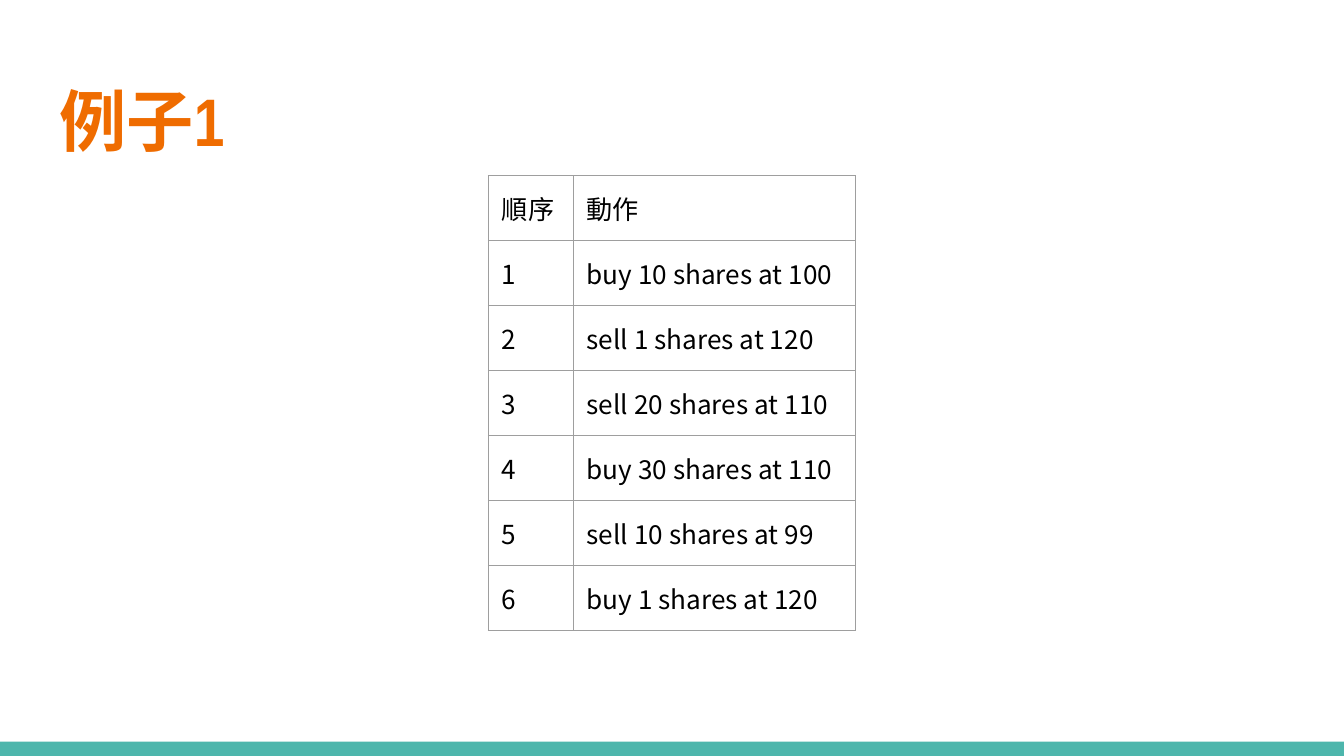
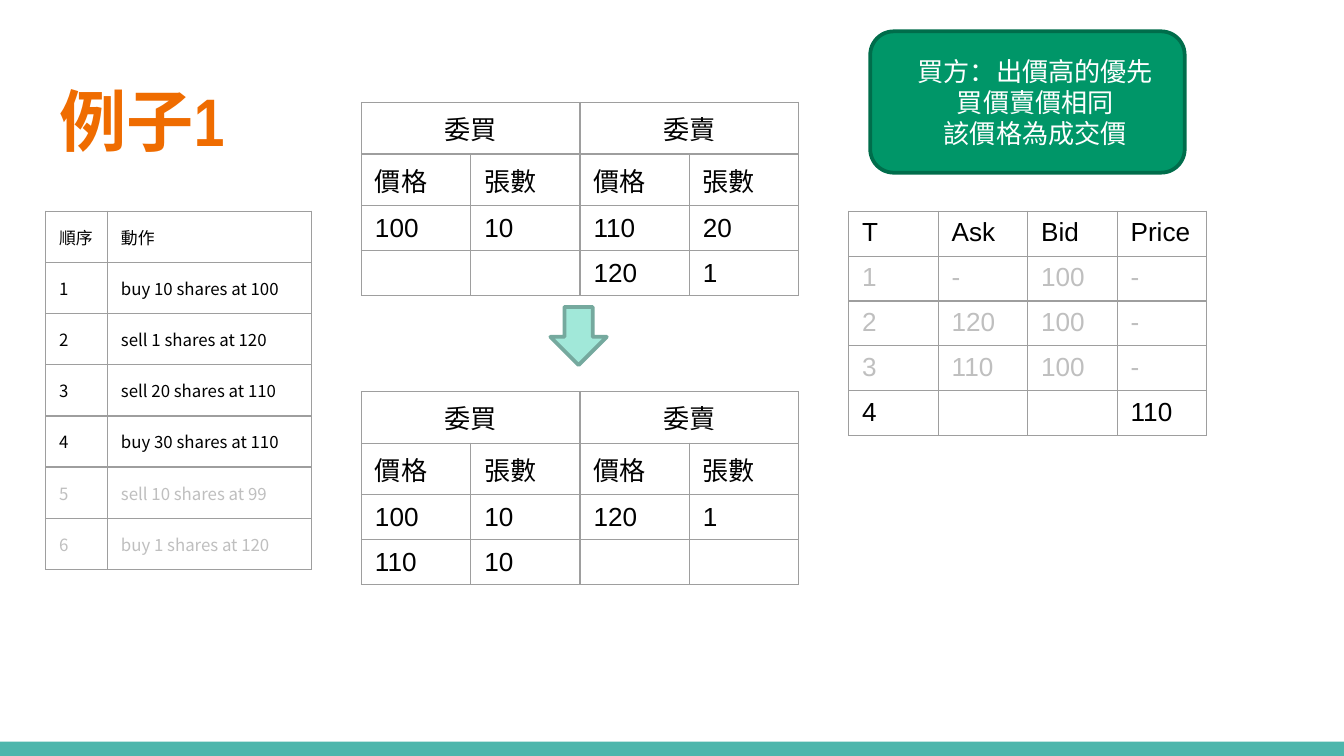
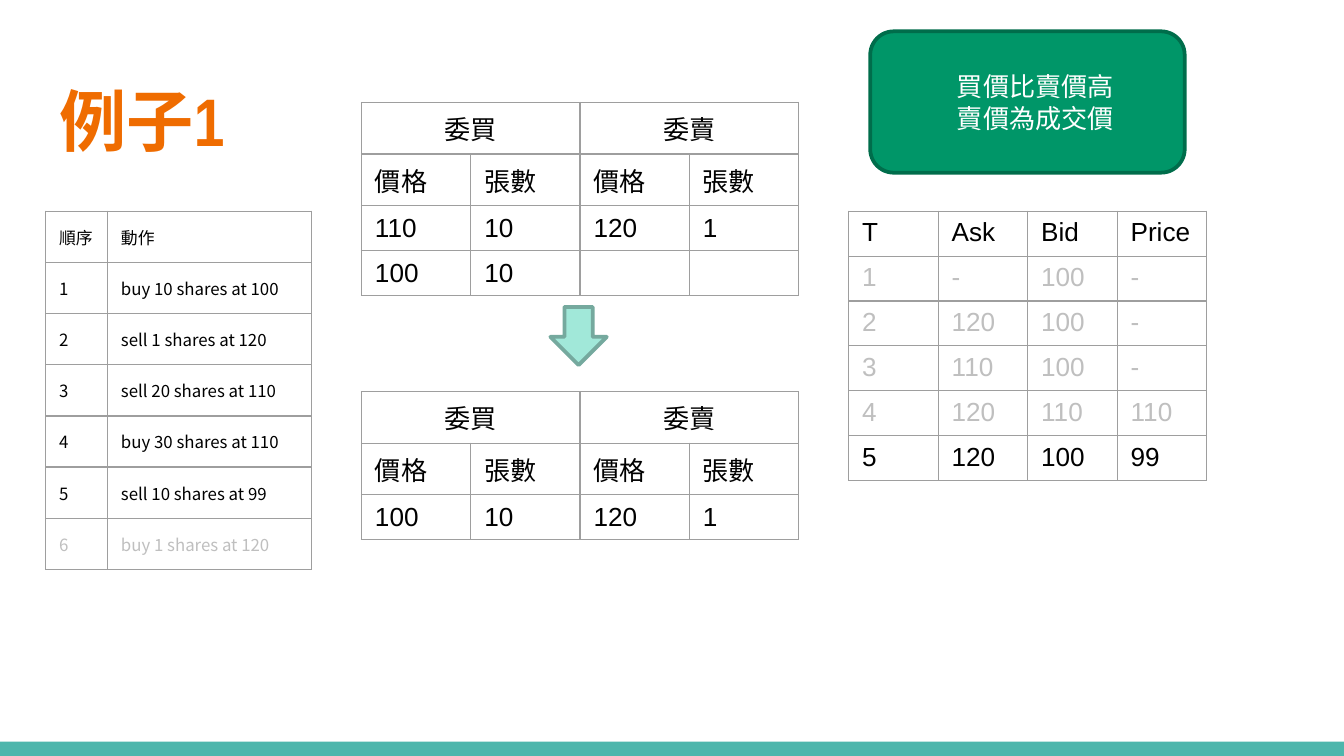
from lxml import etree
from pptx import Presentation, util as u
from pptx.dml.color import RGBColor
from pptx.enum import shapes, text
from pptx.oxml.ns import qn

WIDTH, HEIGHT = u.Inches(10), u.Inches(5.625)
INK, MUTED, GRID, WHITE = "000000", "BFBFBF", "9E9E9E", "FFFFFF"
TEAL, ORANGE = "4DB6AC", "EF6C00"
CJK, LATIN, NARROW = "Noto Sans CJK TC", "Arial", "Arial Narrow"
ACTIONS = ["buy 10 shares at 100", "sell 1 shares at 120", "sell 20 shares at 110",
           "buy 30 shares at 110", "sell 10 shares at 99", "buy 1 shares at 120"]
QUOTES = [["1", "-", "100", "-"], ["2", "120", "100", "-"], ["3", "110", "100", "-"]]


def color(value):
    """Turn a hex string into a colour."""
    return RGBColor.from_string(value)


def across(percent):
    """Measure a share of the slide's width."""
    return int(WIDTH * percent / 100)


def down(percent):
    """Measure a share of the slide's height."""
    return int(HEIGHT * percent / 100)


def area(left, top, width, height):
    """Measure a rectangle given in percent of the slide."""
    return across(left), down(top), across(width), down(height)


def style_text(paragraph, size, font, ink, bold=False):
    """Format all runs of a paragraph, or the empty paragraph itself."""
    if not paragraph.runs:
        etree.SubElement(paragraph._p, qn("a:endParaRPr"), sz=str(size * 100))
    for run in paragraph.runs:
        run.font.size, run.font.name, run.font.bold = u.Pt(size), font, bold
        run.font.color.rgb = color(ink)
        etree.SubElement(run._r.rPr, qn("a:ea"), typeface=CJK)


def add_figure(slide, kind, place, fill, outline=None):
    """Draw a flat preset shape."""
    figure = slide.shapes.add_shape(kind, *area(*place))
    figure.shadow.inherit = False
    figure.fill.solid()
    figure.fill.fore_color.rgb = color(fill)
    if outline:
        figure.line.color.rgb = color(outline)
        figure.line.width = u.Pt(2)
    else:
        figure.line.fill.background()
    return figure


def add_page(deck):
    """Add a slide with the bottom band and the title."""
    slide = deck.slides.add_slide(deck.slide_layouts[6])
    add_figure(slide, shapes.MSO_SHAPE.RECTANGLE, (0, 98.1, 100, 1.9), TEAL)
    heading = slide.shapes.add_textbox(*area(3.45, 8.95, 93.2, 13.7)).text_frame
    heading.word_wrap = True
    heading.vertical_anchor = text.MSO_ANCHOR.MIDDLE
    heading.margin_left = heading.margin_right = u.Inches(0.1)
    heading.margin_top = heading.margin_bottom = u.Inches(0.1)
    heading.text = "例子1"
    style_text(heading.paragraphs[0], 36, NARROW, ORANGE, True)
    return slide


def style_cell(cell, inset):
    """Give a cell thin grey borders, no fill and its insets."""
    properties = cell._tc.get_or_add_tcPr()
    for side in ("lnL", "lnR", "lnT", "lnB"):
        border = etree.SubElement(properties, qn(f"a:{side}"), w=str(u.Pt(0.75)))
        paint = etree.SubElement(border, qn("a:solidFill"))
        etree.SubElement(paint, qn("a:srgbClr"), val=GRID)
    cell.fill.background()
    cell.margin_left = cell.margin_right = u.Inches(0.1)
    cell.margin_top = cell.margin_bottom = u.Inches(inset)


def add_grid(slide, corner, columns, heights, rows, size, font,
             muted=(), inset=0.05, anchor=text.MSO_ANCHOR.MIDDLE):
    """Add a bordered table whose muted rows are grey."""
    place = area(*corner, sum(columns), sum(heights))
    grid = slide.shapes.add_table(len(rows), len(columns), *place).table
    grid.first_row = grid.horz_banding = False
    for column, width in zip(grid.columns, columns):
        column.width = across(width)
    for r, row in enumerate(rows):
        grid.rows[r].height = down(heights[r])
        for c, words in enumerate(row):
            cell = grid.cell(r, c)
            cell.text = words
            cell.vertical_anchor = anchor
            style_cell(cell, inset)
            style_text(cell.text_frame.paragraphs[0], size, font,
                       MUTED if r in muted else INK)
    return grid


def add_actions(slide, corner, columns, row_height, size, done):
    """List the numbered actions, greying those not done yet."""
    rows = [["順序", "動作"]] + [[str(n), act] for n, act in enumerate(ACTIONS, 1)]
    add_grid(slide, corner, columns, [row_height] * len(rows), rows, size, CJK,
             range(done + 1, len(rows)), inset=0.1)


def add_book(slide, top, orders):
    """Show the order book with buyers on the left and sellers on the right."""
    rows = [["委買", "", "委賣", ""], ["價格", "張數"] * 2] + orders
    heights = [6.83] * 2 + [5.92] * len(orders)
    book = add_grid(slide, (26.9, top), [8.13] * 4, heights, rows, 14, LATIN)
    for c in (0, 2):
        book.cell(0, c).merge(book.cell(0, c + 1))
        book.cell(0, c).text_frame.paragraphs[0].alignment = text.PP_ALIGN.CENTER


def add_quotes(slide, quotes):
    """Show the quotes over time, with only the latest in black."""
    rows = [["T", "Ask", "Bid", "Price"]] + quotes
    add_grid(slide, (63.15, 27.95), [6.66] * 4, [3.2] * len(rows), rows, 14, LATIN,
             range(1, len(quotes)), anchor=text.MSO_ANCHOR.TOP)


def add_rule(slide, lines):
    """Explain the matching rule in a green box."""
    rule = add_figure(slide, shapes.MSO_SHAPE.ROUNDED_RECTANGLE,
                      (64.75, 4.15, 23.4, 18.7), "009668", "006D4B").text_frame
    rule.word_wrap = True
    rule.vertical_anchor = text.MSO_ANCHOR.MIDDLE
    rule.text = "\n".join(lines)
    for paragraph in rule.paragraphs:
        paragraph.alignment = text.PP_ALIGN.CENTER
        paragraph._p.get_or_add_pPr().set("marL", str(u.Inches(0.12)))
        style_text(paragraph, 14, CJK, WHITE)


def add_step(deck, done, before, after, quotes, lines):
    """Build the slide of one matching step."""
    slide = add_page(deck)
    add_actions(slide, (3.4, 27.95), [4.6, 15.2], 6.77, 9, done)
    add_book(slide, 13.55, before)
    add_book(slide, 51.8, after)
    add_figure(slide, shapes.MSO_SHAPE.DOWN_ARROW, (40.95, 40.6, 4.2, 7.7),
               "A1E8D9", "75A99E")
    add_quotes(slide, quotes)
    add_rule(slide, lines)


def main():
    """Build the deck."""
    deck = Presentation()
    deck.slide_width, deck.slide_height = WIDTH, HEIGHT
    add_actions(add_page(deck), (36.35, 23.25), [6.3, 21], 8.6, 14, len(ACTIONS))
    add_step(deck, 4,
             [["100", "10", "110", "20"], ["", "", "120", "1"]],
             [["100", "10", "120", "1"], ["110", "10", "", ""]],
             QUOTES + [["4", "", "", "110"]],
             ["買方：出價高的優先", "買價賣價相同", "該價格為成交價"])
    add_step(deck, 5,
             [["110", "10", "120", "1"], ["100", "10", "", ""]],
             [["100", "10", "120", "1"]],
             QUOTES + [["4", "120", "110", "110"], ["5", "120", "100", "99"]],
             ["買價比賣價高", "賣價為成交價"])
    deck.save("out.pptx")


if __name__ == "__main__":
    main()
